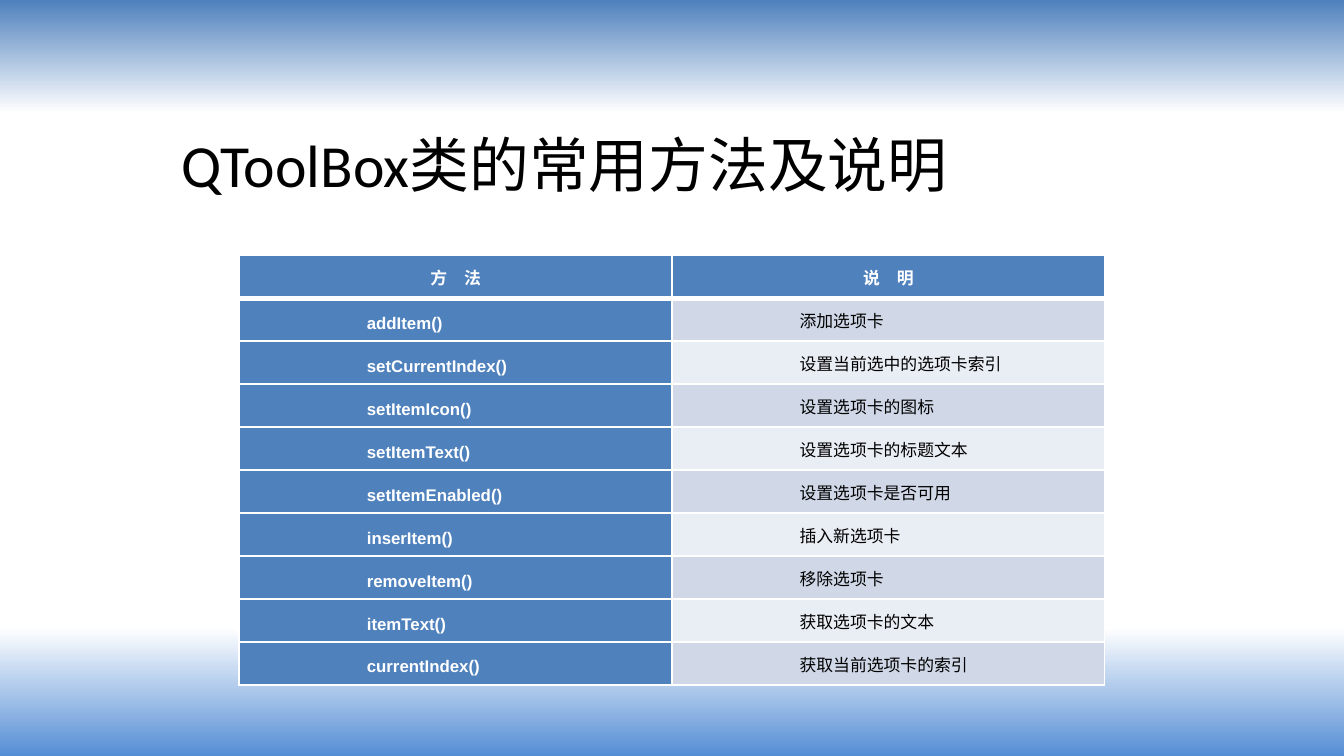
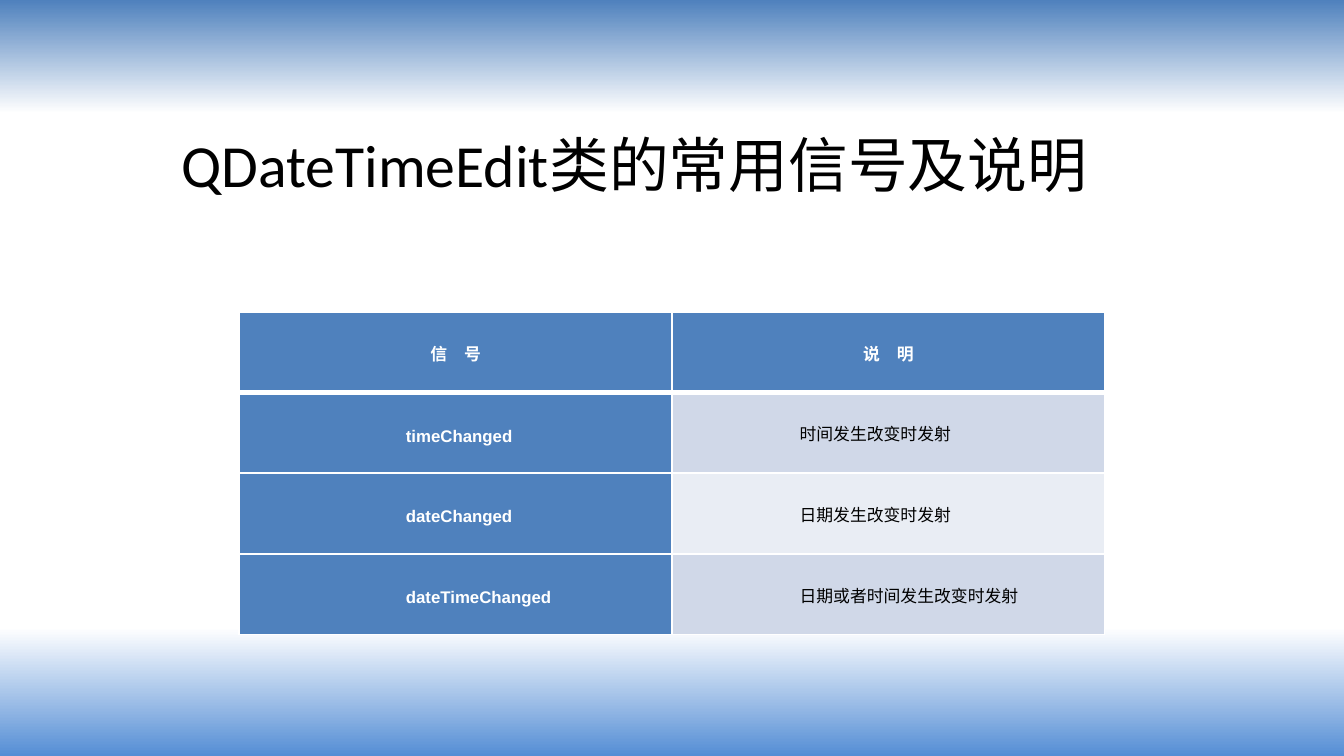
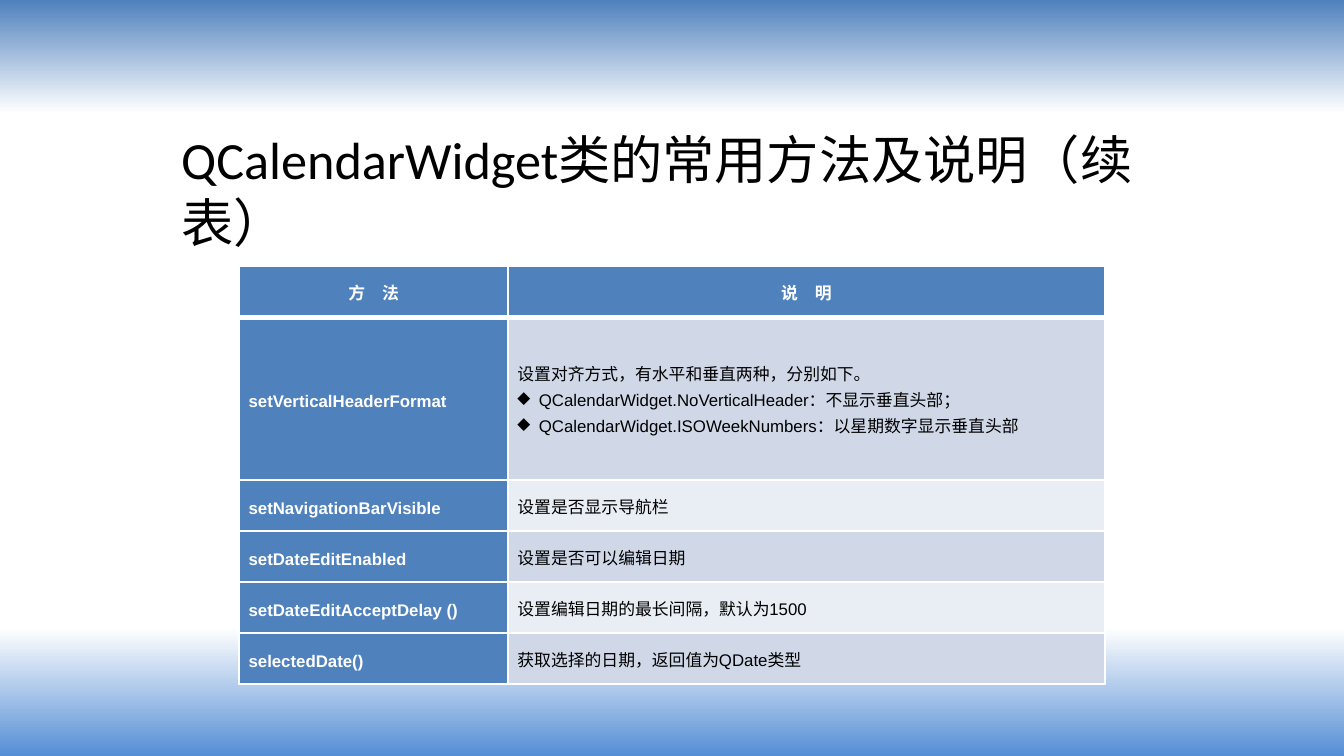
"""Build three slides of method and signal tables for Qt widget classes."""

from pptx import Presentation
from pptx.dml.color import RGBColor
from pptx.enum.text import MSO_ANCHOR, PP_ALIGN
from pptx.oxml.ns import qn
from pptx.util import Inches, Pt
from lxml import etree

MIDDLE = MSO_ANCHOR.MIDDLE
CENTER, JUSTIFY = PP_ALIGN.CENTER, PP_ALIGN.JUSTIFY

BLUE, WHITE, BLACK = "4F81BD", "FFFFFF", "000000"
BANDS = ("D0D8E8", "E9EDF4")
BACKGROUND_STOPS = [(0, BLUE), (15, WHITE), (83, WHITE), (100, "558ED5")]

SLIDE_WIDTH = 10
SLIDE_HEIGHT = SLIDE_WIDTH * 9 / 16
TITLE_LEFT, TITLE_TOP, TITLE_HEIGHT = 1.25, 0.9, 0.67
TABLE_WIDTH = 6.44
TABLE_LEFT = (SLIDE_WIDTH - TABLE_WIDTH) / 2
CELL_MARGIN = 0.07
BULLET, BULLET_INDENT = "◆", 0.16

SLIDES = [
    {
        "title": "QToolBox类的常用方法及说明",
        "title_size": 32,
        "title_width": 6.08,
        "top": 1.9,
        "first_column": 3.22,
        "row_height": 0.32,
        "indents": (0.88, 0.88),
        "rows": [
            ("方　法", "说　明"),
            ("addItem()", "添加选项卡"),
            ("setCurrentIndex()", "设置当前选中的选项卡索引"),
            ("setItemIcon()", "设置选项卡的图标"),
            ("setItemText()", "设置选项卡的标题文本"),
            ("setItemEnabled()", "设置选项卡是否可用"),
            ("inserItem()", "插入新选项卡"),
            ("removeItem()", "移除选项卡"),
            ("itemText()", "获取选项卡的文本"),
            ("currentIndex()", "获取当前选项卡的索引"),
        ],
    },
    {
        "title": "QDateTimeEdit类的常用信号及说明",
        "title_size": 32,
        "title_width": 7.5,
        "top": 2.32,
        "first_column": 3.22,
        "row_height": 0.6,
        "indents": (1.17, 0.88),
        "rows": [
            ("信　号", "说　明"),
            ("timeChanged", "时间发生改变时发射"),
            ("dateChanged", "日期发生改变时发射"),
            ("dateTimeChanged", "日期或者时间发生改变时发射"),
        ],
    },
    {
        "title": "QCalendarWidget类的常用方法及说明（续表）",
        "title_size": 28,
        "title_width": 8,
        "top": 1.98,
        "first_column": 2,
        "row_height": 0.38,
        "tall_rows": {1: 1.21},
        "indents": (0, 0),
        "rows": [
            ("方　法", "说　明"),
            (
                "setVerticalHeaderFormat",
                [
                    "设置对齐方式，有水平和垂直两种，分别如下。",
                    BULLET + "QCalendarWidget.NoVerticalHeader：不显示垂直头部；",
                    BULLET + "QCalendarWidget.ISOWeekNumbers：以星期数字显示垂直头部",
                ],
            ),
            ("setNavigationBarVisible", "设置是否显示导航栏"),
            ("setDateEditEnabled", "设置是否可以编辑日期"),
            ("setDateEditAcceptDelay ()", "设置编辑日期的最长间隔，默认为1500"),
            ("selectedDate()", "获取选择的日期，返回值为QDate类型"),
        ],
    },
]


def color(value):
    return RGBColor.from_string(value)


def add_element(parent, tag, **attributes):
    return etree.SubElement(parent, qn(tag), attributes)


def write_text(frame, text, size, font="Arial", fill=BLACK, bold=False,
               align=None, line_spacing=None, indent=0):
    lines = [text] if isinstance(text, str) else text
    for index, line in enumerate(lines):
        paragraph = frame.add_paragraph() if index else frame.paragraphs[0]
        properties = paragraph._p.get_or_add_pPr()
        if line.startswith(BULLET):
            properties.set("marL", str(Inches(indent + BULLET_INDENT)))
            properties.set("indent", str(-Inches(BULLET_INDENT)))
            add_element(properties, "a:buChar", char=BULLET)
        elif indent:
            properties.set("marL", str(Inches(indent)))
        paragraph.alignment = align
        paragraph.line_spacing = line_spacing
        run = paragraph.add_run()
        run.text = line.removeprefix(BULLET)
        run.font.name, run.font.size, run.font.bold = font, Pt(size), bold
        run.font.color.rgb = color(fill)


def set_background(master):
    fill = master.background.fill
    fill.gradient()
    fill.gradient_angle = 270
    stops = master.element.find(".//" + qn("a:gsLst"))
    for stop in list(stops):
        stops.remove(stop)
    for position, value in BACKGROUND_STOPS:
        stop = add_element(stops, "a:gs", pos=str(position * 1000))
        add_element(stop, "a:srgbClr", val=value)


def set_borders(cell, is_header):
    widths = {"L": 1, "R": 1, "T": 1, "B": 3} if is_header else {"L": 1, "R": 1, "B": 1}
    properties = cell._tc.get_or_add_tcPr()
    for side, width in widths.items():
        line = add_element(properties, "a:ln" + side, w=str(Pt(width)))
        add_element(add_element(line, "a:solidFill"), "a:srgbClr", val=WHITE)


def fill_cell(cell, text, row, column, indent):
    is_header = row == 0
    on_blue = is_header or column == 0
    set_borders(cell, is_header)
    cell.fill.solid()
    cell.fill.fore_color.rgb = color(BLUE if on_blue else BANDS[(row - 1) % 2])
    cell.vertical_anchor = MIDDLE
    cell.margin_left = cell.margin_right = Inches(CELL_MARGIN)
    cell.margin_top = cell.margin_bottom = 0
    write_text(cell.text_frame, text, 9, fill=WHITE if on_blue else BLACK, bold=on_blue,
               align=CENTER if is_header else JUSTIFY, line_spacing=Pt(14),
               indent=0 if is_header else indent)


def add_title(slide, content):
    box = slide.shapes.add_textbox(Inches(TITLE_LEFT), Inches(TITLE_TOP),
                                   Inches(content["title_width"]), Inches(TITLE_HEIGHT))
    box.text_frame.word_wrap = True
    write_text(box.text_frame, content["title"], content["title_size"], font="Calibri")


def add_method_table(slide, content):
    rows = content["rows"]
    tall_rows = content.get("tall_rows", {})
    heights = [tall_rows.get(row, content["row_height"]) for row in range(len(rows))]
    widths = (content["first_column"], TABLE_WIDTH - content["first_column"])
    table = slide.shapes.add_table(len(rows), len(widths), Inches(TABLE_LEFT),
                                   Inches(content["top"]), Inches(TABLE_WIDTH),
                                   Inches(sum(heights))).table
    table.horz_banding = False
    for column, width in enumerate(widths):
        table.columns[column].width = Inches(width)
    for row, texts in enumerate(rows):
        table.rows[row].height = Inches(heights[row])
        for column, text in enumerate(texts):
            fill_cell(table.cell(row, column), text, row, column, content["indents"][column])


def main():
    presentation = Presentation()
    presentation.slide_width = Inches(SLIDE_WIDTH)
    presentation.slide_height = Inches(SLIDE_HEIGHT)
    set_background(presentation.slide_master)
    blank_layout = presentation.slide_layouts[6]
    for content in SLIDES:
        slide = presentation.slides.add_slide(blank_layout)
        add_title(slide, content)
        add_method_table(slide, content)
    presentation.save("out.pptx")


if __name__ == "__main__":
    main()
